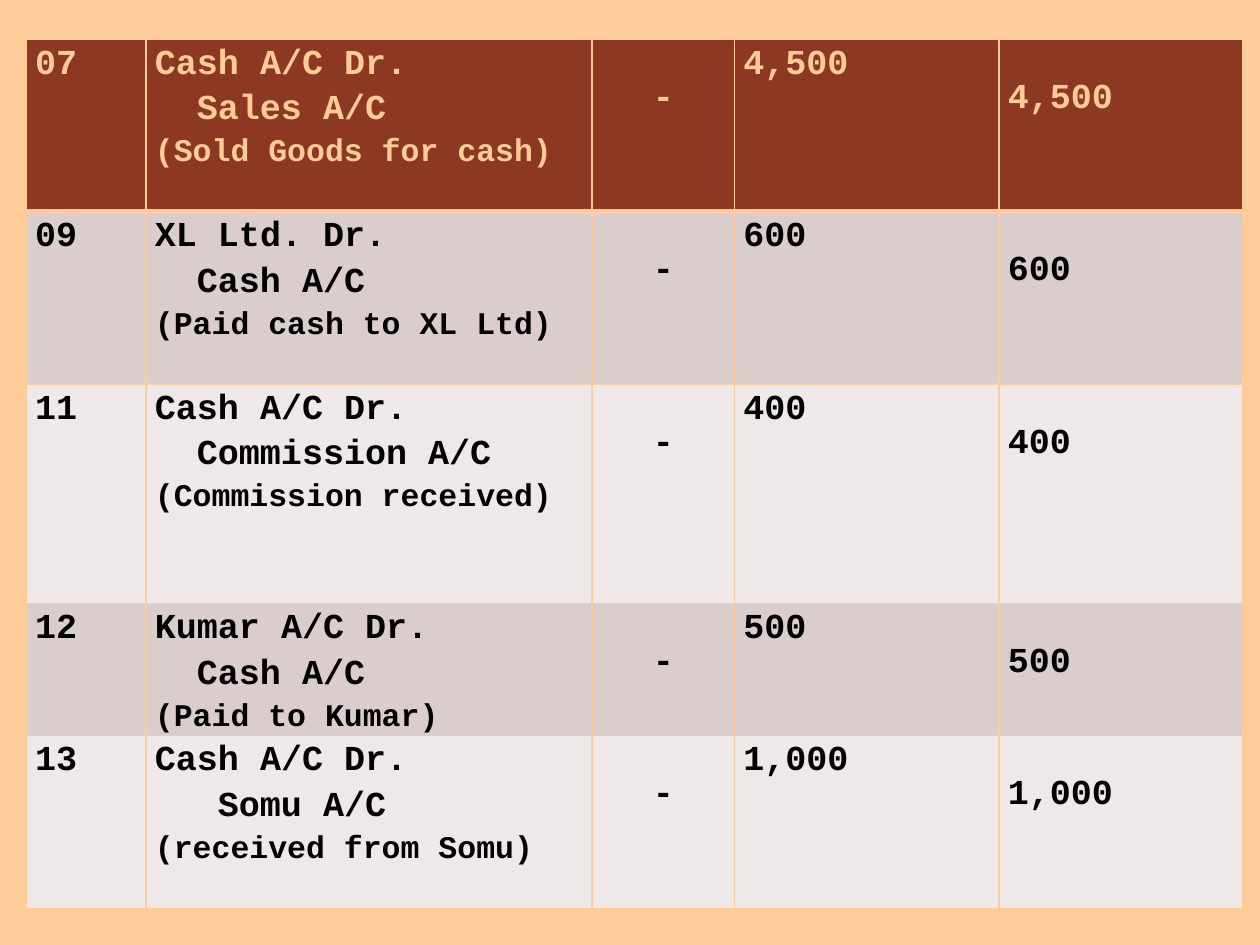
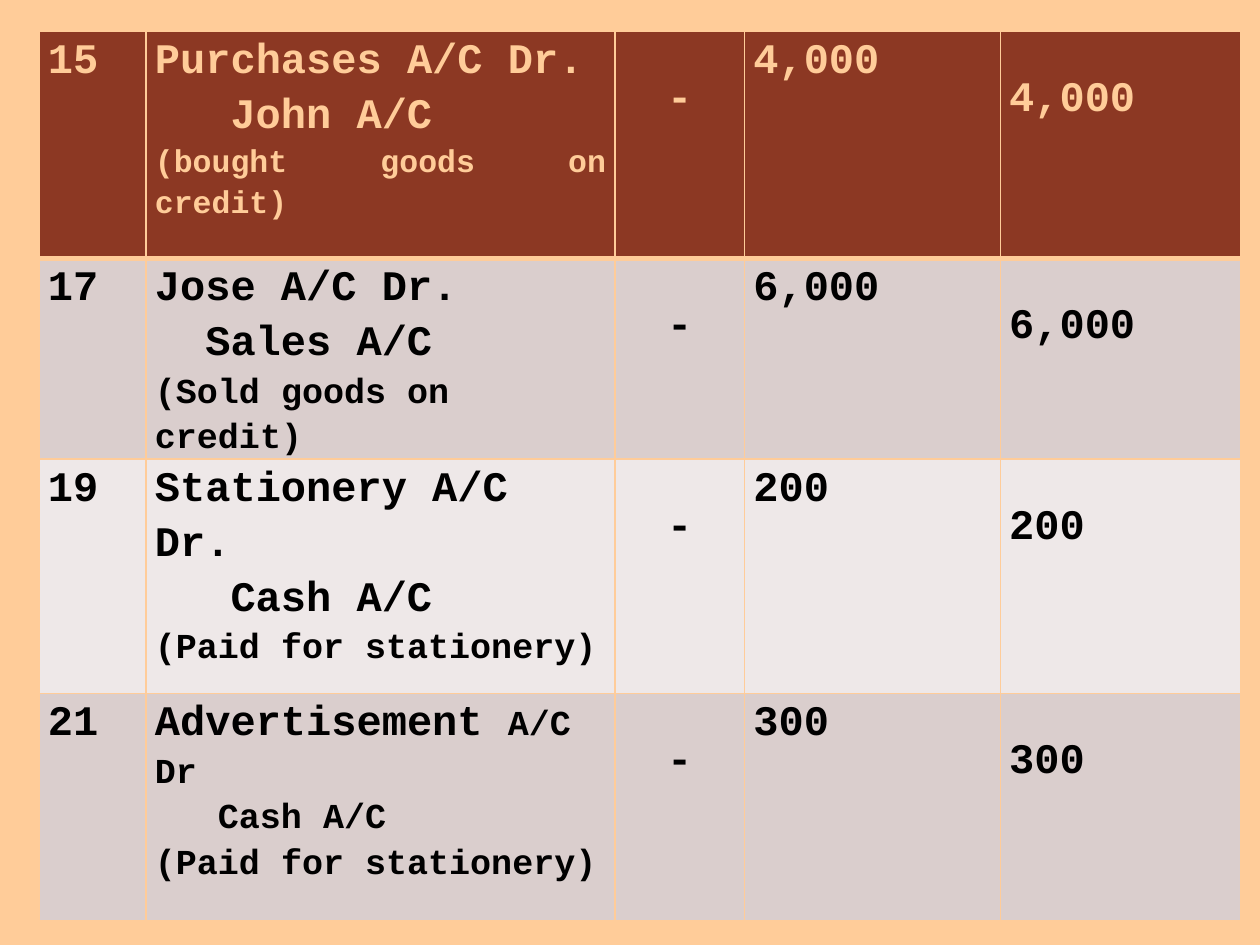
from lxml.etree import SubElement
from pptx import Presentation
from pptx.dml.color import RGBColor
from pptx.enum.text import PP_ALIGN
from pptx.oxml.ns import qn
from pptx.util import Inches, Pt

LEFT, CENTER, JUSTIFY = PP_ALIGN.LEFT, PP_ALIGN.CENTER, PP_ALIGN.JUSTIFY


def line(text, size, indent=0, align=LEFT, tail=None):
    spans = [(text, size)] + ([tail] if tail else [])
    return {"spans": spans, "indent": indent, "align": align}


def entry(day, debit, credit, note, amount, sizes, indent=2, note_align=LEFT, tail=None):
    debit_size, credit_size, note_size = sizes
    lines = [
        line(debit, debit_size, tail=tail),
        line(credit, credit_size, indent),
        line(note, note_size, align=note_align),
    ]
    return day, lines, amount


SMALL = (20, 20, 18)
LARGE = (24, 24, 20)

JOURNALS = [
    {
        "place": (0.21, 0.31, 9.65, 6.97),
        "columns": (0.95, 3.54, 1.13, 2.1, 1.93),
        "rows": (1.37, 1.37, 1.74, 1.05, 1.37),
        "size": 20,
        "drop": 0.27,
        "entries": [
            entry("07", "Cash A/C Dr.", "Sales A/C", "(Sold Goods for cash)", "4,500", SMALL),
            entry("09", "XL Ltd. Dr.", "Cash A/C", "(Paid cash to XL Ltd)", "600", SMALL),
            entry("11", "Cash A/C Dr.", "Commission A/C", "(Commission received)", "400", SMALL),
            entry("12", "Kumar A/C Dr.", "Cash A/C", "(Paid to Kumar)", "500", SMALL),
            entry("13", "Cash A/C Dr.", "Somu A/C", "(received from Somu)", "1,000", SMALL, 3),
        ],
    },
    {
        "place": (0.31, 0.25, 9.55, 7.14),
        "columns": (0.85, 3.72, 1.03, 2.03, 1.91),
        "rows": (1.8, 1.47, 1.86, 1.8),
        "size": 24,
        "drop": 0.3,
        "entries": [
            entry("15", "Purchases A/C Dr.", "John A/C", "(bought goods on credit)",
                  "4,000", (24, 24, 18), 3, JUSTIFY),
            entry("17", "Jose A/C Dr.", "Sales A/C", "(Sold goods on credit)", "6,000", LARGE),
            entry("19", "Stationery A/C Dr.", "Cash A/C", "(Paid for stationery)",
                  "200", LARGE, 3),
            entry("21", "Advertisement ", "Cash A/C", "(Paid for stationery)",
                  "300", (24, 20, 20), 3, tail=("A/C Dr", 20)),
        ],
    },
]

PEACH, BROWN, BLACK = "FFCC99", "8C3823", "000000"
BANDS = ("EEE8E8", "DACECD")
FONT = "Courier New"
LETTER_WIDTH = 0.6
LINE_SPACING = 1.15
SIDE_MARGIN = 0.07


def colour(code):
    return RGBColor.from_string(code)


def set_all(target, values):
    for name, value in values.items():
        setattr(target, name, value)


def fill_solid(fill, code):
    fill.solid()
    fill.fore_color.rgb = colour(code)


def add_borders(cell, widths):
    properties = cell._tc.get_or_add_tcPr()
    for position, (side, width) in enumerate(widths.items()):
        border = SubElement(properties, qn(f"a:{side}"), w=str(Pt(width)))
        solid = SubElement(border, qn("a:solidFill"))
        SubElement(solid, qn("a:srgbClr"), val=PEACH)
        properties.insert(position, border)


def write_lines(cell, lines, ink):
    frame = cell.text_frame
    for number, content in enumerate(lines):
        para = frame.add_paragraph() if number else frame.paragraphs[0]
        set_all(para, {"alignment": content["align"], "line_spacing": LINE_SPACING})
        if content["indent"]:
            size = content["spans"][0][1]
            margin = Pt(content["indent"] * LETTER_WIDTH * size)
            para._p.get_or_add_pPr().set("marL", str(margin))
        for text, size in content["spans"]:
            span = para.add_run()
            span.text = text
            set_all(span.font, {"name": FONT, "size": Pt(size), "bold": True})
            span.font.color.rgb = colour(ink)


def add_journal(deck, journal):
    page = deck.slides.add_slide(deck.slide_layouts[6])
    entries, size, drop = journal["entries"], journal["size"], journal["drop"]
    place = [Inches(length) for length in journal["place"]]
    table = page.shapes.add_table(len(entries), len(journal["columns"]), *place).table
    for column, width in zip(table.columns, journal["columns"]):
        column.width = Inches(width)
    for row, height in zip(table.rows, journal["rows"]):
        row.height = Inches(height)
    for number, (day, lines, amount) in enumerate(entries):
        first = number == 0
        ink, band = (PEACH, BROWN) if first else (BLACK, BANDS[number % 2])
        widths = {"lnL": 1, "lnR": 1, "lnT": 3 if number == 1 else 1, "lnB": 3 if first else 1}
        contents = [
            ([line(day, size, align=JUSTIFY)], 0),
            (lines, 0),
            ([line("-", size, align=CENTER)], drop),
            ([line(amount, size, align=JUSTIFY)], 0),
            ([line(amount, size, align=JUSTIFY)], drop),
        ]
        for cell, (content, top) in zip(table.rows[number].cells, contents):
            set_all(cell, {
                "margin_left": Inches(SIDE_MARGIN),
                "margin_right": Inches(SIDE_MARGIN),
                "margin_top": Inches(top),
                "margin_bottom": 0,
            })
            fill_solid(cell.fill, band)
            add_borders(cell, widths)
            write_lines(cell, content, ink)


def main():
    deck = Presentation()
    set_all(deck, {"slide_width": Inches(10), "slide_height": Inches(7.5)})
    fill_solid(deck.slide_master.background.fill, PEACH)
    for journal in JOURNALS:
        add_journal(deck, journal)
    deck.save("out.pptx")


if __name__ == "__main__":
    main()
